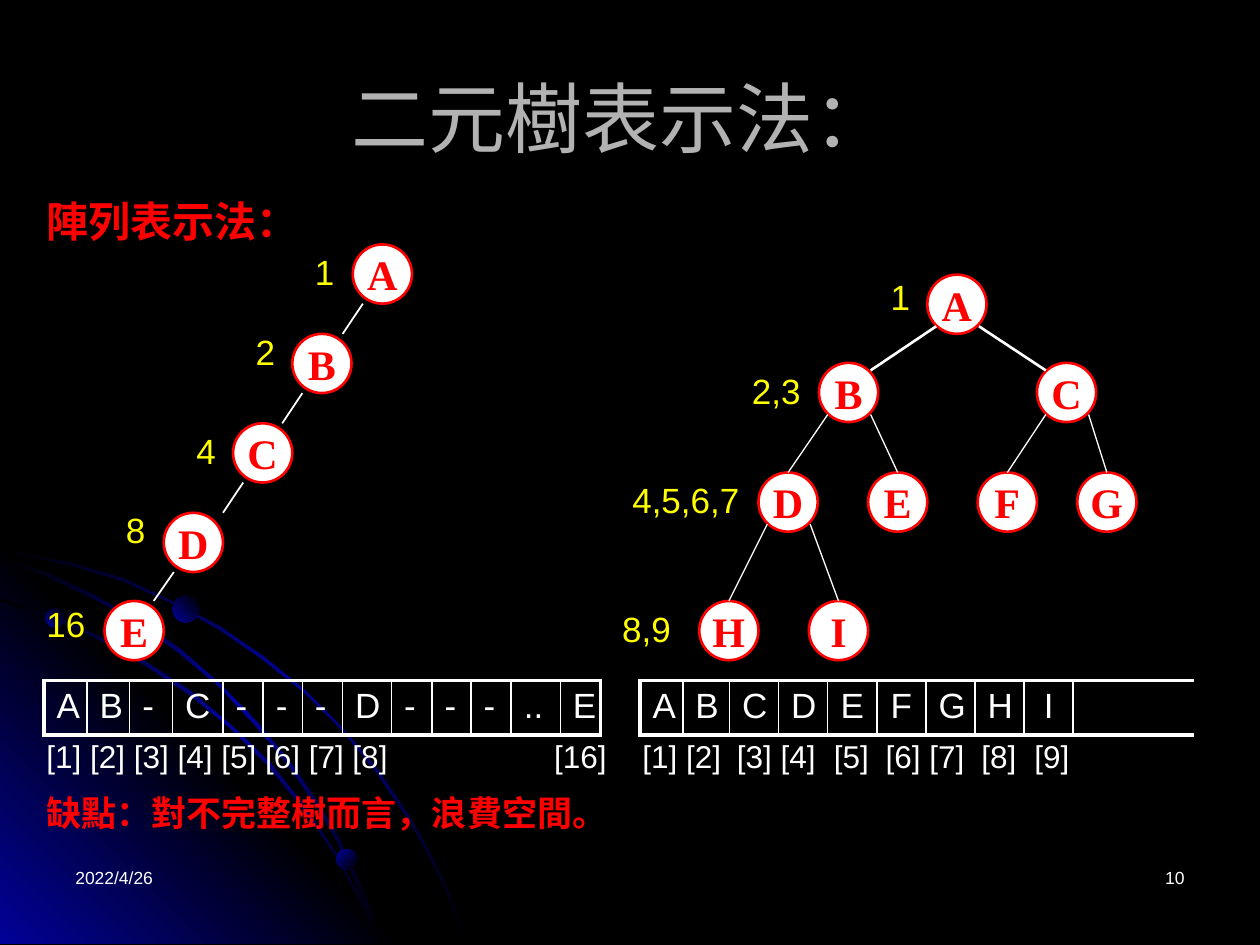
import pptx
import pptx.dml.color
import pptx.enum.shapes
import pptx.enum.text
import pptx.oxml
import pptx.oxml.ns
import pptx.util
from lxml import etree

Inches, Pt = pptx.util.Inches, pptx.util.Pt
SHAPE = pptx.enum.shapes.MSO_SHAPE
ALIGN = pptx.enum.text.PP_ALIGN
ANCHOR = pptx.enum.text.MSO_ANCHOR
qn = pptx.oxml.ns.qn
NS = pptx.oxml.ns.nsdecls("a")

COLORS = {"black": "000000", "navy": "010199", "white": "FFFFFF",
          "red": "FF0000", "yellow": "FFFF00", "gray": "B2B2B2"}
NODE_SIZE = 0.47

GLOW = [(0, "black"), (50, "navy"), (100, "black")]
CORNER = [(0, "navy"), (50, "black"), (100, "navy")]
BEAD = [(0, "navy"), (100, "black")]
# outline points, gradient stops, gradient angle
SWOOSHES = [
    ([(0.57, 4.47), (0.28, 4.41), (0, 4.35), (0, 4.38), (0.28, 4.43), (0.56, 4.49),
      (0.97, 4.61), (1.35, 4.78), (1.73, 4.99), (2.08, 5.23), (2.41, 5.49), (2.71, 5.79),
      (2.98, 6.12), (3.23, 6.49), (3.37, 6.73), (3.5, 6.98), (3.6, 7.23), (3.7, 7.49),
      (3.72, 7.49), (3.62, 7.23), (3.52, 6.98), (3.39, 6.73), (3.25, 6.48), (3, 6.11),
      (2.72, 5.78), (2.42, 5.48), (2.09, 5.21), (1.74, 4.97), (1.36, 4.77), (0.98, 4.59)],
     GLOW, 45),
    ([(3.22, 7.49), (0, 7.49), (0, 4.27)], CORNER, 315),
    ([(2.85, 7.14), (2.94, 7.32), (3.01, 7.49), (3.03, 7.49), (2.96, 7.3), (2.86, 7.12),
      (2.66, 6.76), (2.42, 6.4), (2.15, 6.06), (1.84, 5.76), (1.52, 5.49), (1.17, 5.26),
      (0.79, 5.05), (0.41, 4.88), (0, 4.75), (0, 4.77), (0.39, 4.9), (0.77, 5.07),
      (1.15, 5.28), (1.5, 5.51), (1.83, 5.78), (2.13, 6.08), (2.4, 6.41), (2.65, 6.77)],
     GLOW, 45),
    ([(0, 4.42), (0, 4.44), (0.36, 4.57), (0.74, 4.75), (1.09, 4.94), (1.42, 5.18),
      (1.73, 5.44), (2.02, 5.75), (2.27, 6.05), (2.52, 6.41), (2.67, 6.67), (2.8, 6.94),
      (2.92, 7.22), (3.01, 7.49), (3.03, 7.49), (2.94, 7.2), (2.82, 6.93), (2.69, 6.65),
      (2.54, 6.39), (2.29, 6.03), (2.04, 5.73), (1.75, 5.43), (1.44, 5.16), (1.11, 4.93),
      (0.76, 4.73), (0.39, 4.55)], GLOW, 45),
]
BEADS = [(0.36, 4.83, 0.15, 315), (2.67, 6.74, 0.16, 45), (1.37, 4.73, 0.21, 315)]

# left, top, width, height, text, size, color, bold, alignment, anchor
TEXTS = [
    (0.5, 6.83, 2.33, 0.5, "2022/4/26", 10, "white", False, ALIGN.LEFT, ANCHOR.TOP),
    (7.17, 6.83, 2.33, 0.5, "10", 10, "white", False, ALIGN.RIGHT, ANCHOR.TOP),
    (0.5, 0.3, 9, 1.25, "二元樹表示法： ", 44, "gray", False, ALIGN.CENTER, ANCHOR.MIDDLE),
    (0.27, 1.5, 9.37, 0.6, "陣列表示法：", 24, "red", True, ALIGN.LEFT, ANCHOR.TOP),
    (0.27, 6.23, 9.06, 0.43, "缺點：對不完整樹而言，浪費空間。", 20, "red", True,
     ALIGN.LEFT, ANCHOR.TOP),
]
LEVEL_LABELS = [
    (2.4, 1.94, 0.39, "1"), (1.93, 2.57, 0.39, "2"), (1.46, 3.36, 0.39, "4"),
    (0.9, 3.99, 0.39, "8"), (0.27, 4.73, 0.55, "16"),
    (6.97, 2.14, 0.39, "1"), (5.87, 2.88, 0.63, "2,3"),
    (4.92, 3.75, 1.1, "4,5,6,7"), (4.84, 4.77, 0.63, "8,9"),
]
SKEWED_TREE = {"A": (2.8, 1.94), "B": (2.32, 2.65), "C": (1.85, 3.36),
               "D": (1.3, 4.07), "E": (0.83, 4.77)}
FULL_TREE = {"A": (7.36, 2.18), "B": (6.5, 2.88), "C": (8.23, 2.88),
             "D": (6.02, 3.75), "E": (6.89, 3.75), "F": (7.76, 3.75), "G": (8.55, 3.75),
             "H": (5.55, 4.77), "I": (6.42, 4.77)}
FULL_CHILDREN = {"A": "BC", "B": "DE", "C": "FG", "D": "HI"}

SKEWED_ARRAY = [("A", 0.34), ("B", 0.34), ("-", 0.34), ("C", 0.4), ("-", 0.32),
                ("-", 0.31), ("-", 0.32), ("D", 0.39), ("-", 0.32), ("-", 0.31),
                ("-", 0.32), ("..", 0.39), ("E", 0.32)]
FULL_ARRAY = [("A", 0.34), ("B", 0.37)] + [(c, 0.39) for c in "CDEFGHI"] + [("", 0.96)]

# tab stop of each group, measured from the text's left edge
INDEX_GROUPS = [(0, "[1] [2] [3] [4] [5] [6] [7] [8]"), (4.03, "[16]"), (4.73, "[1] [2]"),
                (5.48, "[3] [4]"), (6.25, "[5]"), (6.66, "[6] [7]"), (7.42, "[8]"),
                (7.84, "[9]")]


def rgb(name):
    return pptx.dml.color.RGBColor.from_string(COLORS[name])


def style_para(para, size, color, bold=False, font="Arial", align=ALIGN.LEFT):
    para.alignment = align
    for span in para.runs:
        span.font.size, span.font.bold, span.font.name = Pt(size), bold, font
        span.font.color.rgb = rgb(color)


def add_text(page, left, top, width, height, text, size, color, bold=False,
             align=ALIGN.LEFT, anchor=ANCHOR.TOP):
    box = page.shapes.add_textbox(*map(Inches, (left, top, width, height)))
    frame = box.text_frame
    frame.word_wrap, frame.vertical_anchor = True, anchor
    frame.text = text
    style_para(frame.paragraphs[0], size, color, bold, align=align)
    return frame.paragraphs[0]


def shade(shape, stops, angle):
    """Give a decoration a linear gradient, with no line or shadow."""
    shape.shadow.inherit = False
    shape.line.fill.background()
    shape.fill.gradient()
    stop_list = shape._element.spPr.find(qn("a:gradFill")).find(qn("a:gsLst"))
    for old in list(stop_list):
        stop_list.remove(old)
    for position, color in stops:
        stop_list.append(pptx.oxml.parse_xml(
            f'<a:gs {NS} pos="{position * 1000}"><a:srgbClr val="{COLORS[color]}"/></a:gs>'))
    shape.fill.gradient_angle = 360 - angle


def add_decoration(page):
    for points, stops, angle in SWOOSHES:
        start, *rest = [(Inches(x), Inches(y)) for x, y in points]
        builder = page.shapes.build_freeform(*start, scale=1.0)
        builder.add_line_segments(rest, close=True)
        shade(builder.convert_to_shape(), stops, angle)
    for left, top, size, angle in BEADS:
        bead = page.shapes.add_shape(SHAPE.OVAL, *map(Inches, (left, top, size, size)))
        shade(bead, BEAD, angle)


def add_nodes(page, tree):
    nodes = {}
    for name, (left, top) in tree.items():
        node = page.shapes.add_shape(SHAPE.FLOWCHART_CONNECTOR, Inches(left), Inches(top),
                                     Inches(NODE_SIZE), Inches(NODE_SIZE))
        node.shadow.inherit = False
        node.fill.solid()
        node.fill.fore_color.rgb = rgb("white")
        node.line.color.rgb, node.line.width = rgb("red"), Pt(1.5)
        frame = node.text_frame
        frame.word_wrap, frame.vertical_anchor = False, ANCHOR.MIDDLE
        frame.text = name
        style_para(frame.paragraphs[0], 24, "red", True, "Times New Roman", ALIGN.CENTER)
        nodes[name] = node
    return nodes


def add_edge(page, start, end, width):
    edge = page.shapes.add_connector(pptx.enum.shapes.MSO_CONNECTOR.STRAIGHT,
                                     *map(Inches, (*start, *end)))
    edge.line.color.rgb, edge.line.width = rgb("white"), Pt(width)
    etree.SubElement(edge._element.spPr, qn("a:effectLst"))
    return edge


def add_skewed_tree(page):
    add_nodes(page, SKEWED_TREE)
    spots = list(SKEWED_TREE.values())
    for (left, top), (_, child_top) in zip(spots, spots[1:]):
        add_edge(page, (left + 0.08, top + NODE_SIZE), (left - 0.08, child_top), 1)


def add_full_tree(page):
    nodes = add_nodes(page, FULL_TREE)
    near, far = 0.07, 0.41
    for parent, children in FULL_CHILDREN.items():
        left, top = FULL_TREE[parent]
        for child, begin, finish in zip(children, (near, far), (far, near)):
            child_left, child_top = FULL_TREE[child]
            edge = add_edge(page, (left + begin, top + far),
                            (child_left + finish, child_top + 0.06),
                            1.5 if parent == "A" else 0.75)
            if parent != "A":
                edge.end_connect(nodes[child], 0)


def set_border(cell, side, width):
    fill = f'<a:solidFill><a:srgbClr val="{COLORS["white"]}"/></a:solidFill>'
    cell._tc.get_or_add_tcPr().append(pptx.oxml.parse_xml(
        f'<a:ln{side} {NS} w="{int(Pt(width))}">{fill if width else "<a:noFill/>"}</a:ln{side}>'))


def add_array(page, left, entries, align, right_border, left_aligned=""):
    total = sum(width for _, width in entries)
    table = page.shapes.add_table(1, len(entries), Inches(left), Inches(5.4),
                                  Inches(total), Inches(0.43)).table
    table.first_row = table.horz_banding = False
    last = len(entries) - 1
    for i, (text, width) in enumerate(entries):
        table.columns[i].width = Inches(width)
        cell = table.cell(0, i)
        cell.text = text
        style_para(cell.text_frame.paragraphs[0], 20, "white",
                   align=ALIGN.LEFT if text and text in left_aligned else align)
        set_border(cell, "L", 1 if i else 2.25)
        set_border(cell, "R", right_border if i == last else 1)
        set_border(cell, "T", 2.25)
        set_border(cell, "B", 2.25)
        cell.fill.background()


def add_index_row(page):
    para = add_text(page, 0.27, 5.8, 9.21, 0.4,
                    "\t".join(text for _, text in INDEX_GROUPS), 18, "white")
    tabs = etree.SubElement(para._p.get_or_add_pPr(), qn("a:tabLst"))
    for stop, _ in INDEX_GROUPS[1:]:
        etree.SubElement(tabs, qn("a:tab"), pos=str(int(Inches(stop))), algn="l")


def main():
    deck = pptx.Presentation()
    deck.slide_width, deck.slide_height = Inches(10), Inches(7.5)
    page = deck.slides.add_slide(deck.slide_layouts[6])
    page.background.fill.solid()
    page.background.fill.fore_color.rgb = rgb("black")
    add_decoration(page)
    for text in TEXTS:
        add_text(page, *text)
    add_array(page, 0.35, SKEWED_ARRAY, ALIGN.LEFT, 2.25)
    add_skewed_tree(page)
    add_full_tree(page)
    add_array(page, 5.08, FULL_ARRAY, ALIGN.CENTER, 0, left_aligned="D")
    add_index_row(page)
    for left, top, width, text in LEVEL_LABELS:
        add_text(page, left, top, width, 0.43, text, 20, "yellow")
    deck.save("out.pptx")


if __name__ == "__main__":
    main()
